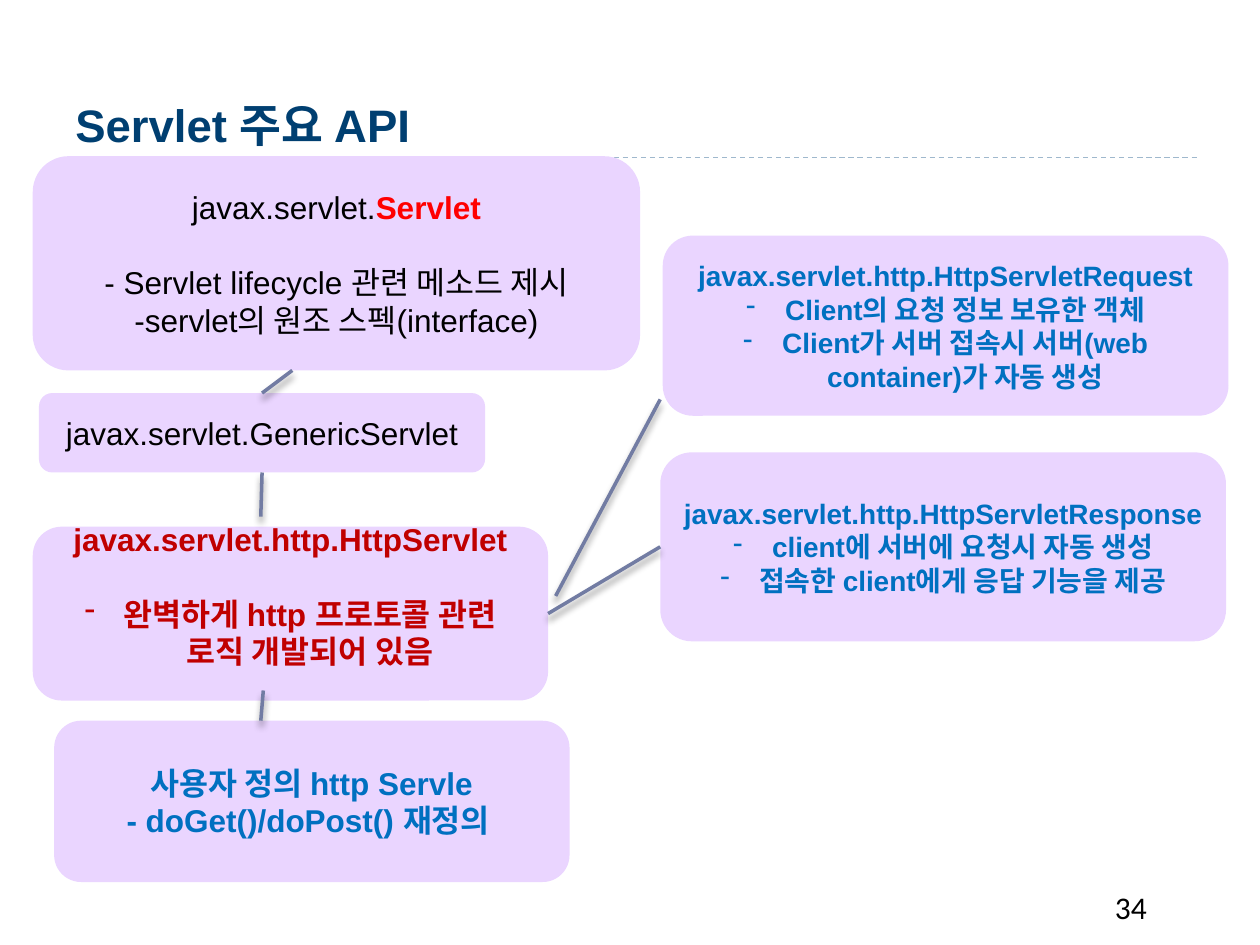
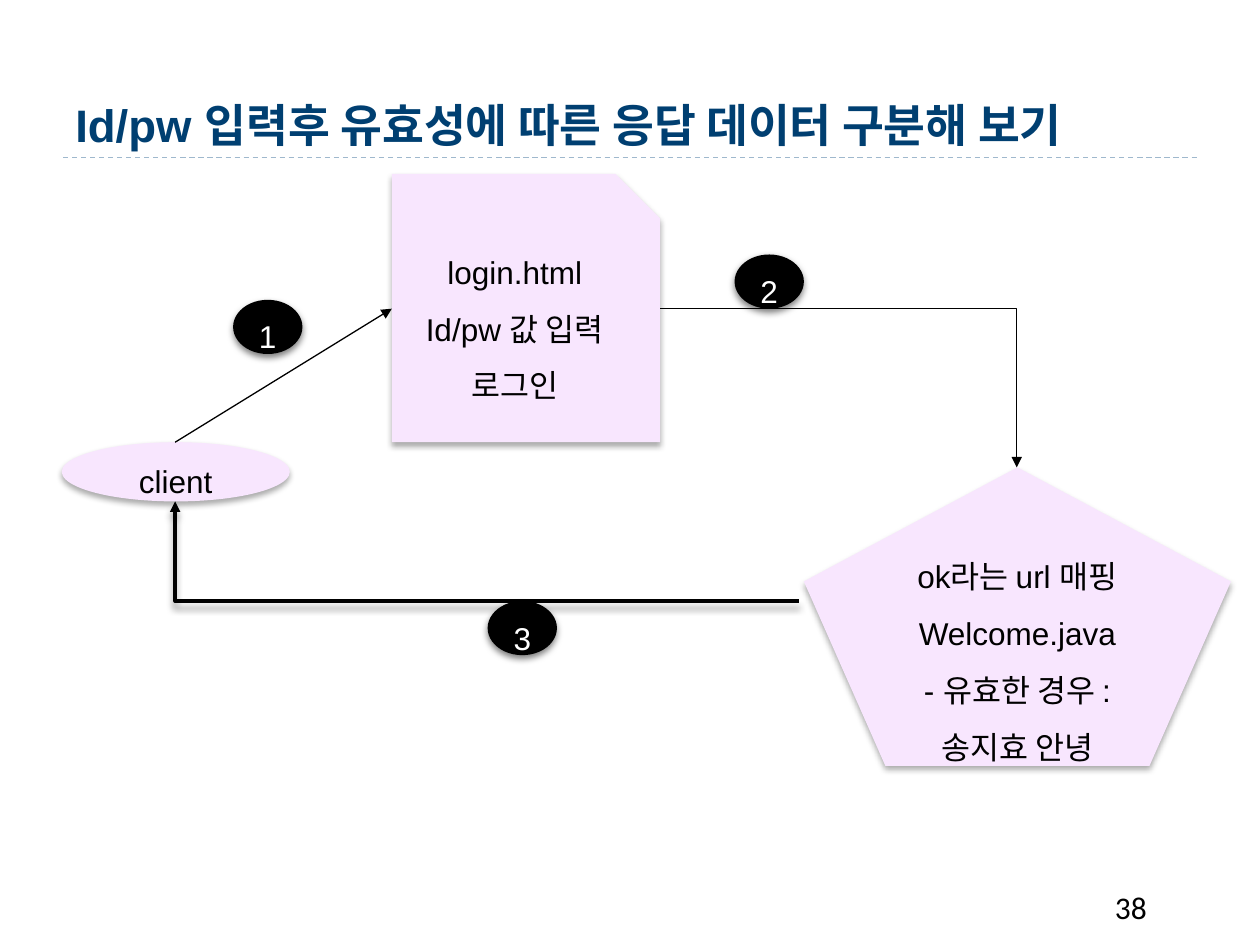
from lxml import etree
from pptx import Presentation
from pptx.dml import color
from pptx.enum import dml, shapes, text
from pptx.oxml import ns
from pptx.util import Emu, Pt

PX = 9144
BLACK, WHITE, RED, BLUE = "000000", "FFFFFF", "C00000", "0070C0"
NAVY, RULE, LINK = "003F71", "9FB8CD", "727CA3"
LILAC, PALE = "EAD5FF", "F8E6FE"
LINE_SHADOW, SHAPE_SHADOW, BADGE_SHADOW = (40, 4, 3.4), (32, 3.5, 2.2), (50, 4, 2)
TOP, LEFT, BOTTOM, RIGHT = range(4)
KIND = shapes.MSO_SHAPE


def px(*lengths):
    """Turn pixel lengths into EMU."""
    return [Emu(length * PX) for length in lengths]


def rgb(value):
    """Return the colour of a hex string."""
    return color.RGBColor.from_string(value)


def place(region, left, top, *size):
    """Offset a position by the corner of its region."""
    return (region[0] + left, region[1] + top, *size)


def cast_shadow(item, shadow):
    """Give an item only the shadow (opacity, blur, distance), if any."""
    properties = item._element.spPr
    effects = properties.find(ns.qn("a:effectLst"))
    if effects is None:
        effects = etree.SubElement(properties, ns.qn("a:effectLst"))
    if shadow:
        opacity, blur, distance = shadow
        outer = etree.SubElement(effects, ns.qn("a:outerShdw"), blurRad=str(Pt(blur)),
                                 dist=str(Pt(distance)), dir="5400000", rotWithShape="0")
        tint = etree.SubElement(outer, ns.qn("a:srgbClr"), val=BLACK)
        etree.SubElement(tint, ns.qn("a:alpha"), val=str(opacity * 1000))


def style(span, size, ink, bold=False, font="Arial"):
    """Format one run."""
    span.font.name, span.font.size, span.font.bold = font, Pt(size), bold
    span.font.color.rgb = rgb(ink)


def add_bullet(para):
    """Hang a dash in front of a paragraph."""
    properties = para._p.get_or_add_pPr()
    properties.set("marL", str(31 * PX))
    properties.set("indent", str(-31 * PX))
    etree.SubElement(properties, ns.qn("a:buChar"), char="-")


def add_label(page, box, words, size, ink, bold=False, font="Arial",
              anchor=text.MSO_ANCHOR.TOP):
    """Add a left-aligned text box."""
    frame = page.shapes.add_textbox(*px(*box)).text_frame
    frame.word_wrap = True
    frame.vertical_anchor = anchor
    frame.text = words
    style(frame.paragraphs[0].runs[0], size, ink, bold, font)


def add_card(page, box, lines, kind=KIND.ROUNDED_RECTANGLE, fill=LILAC, size=18,
             ink=BLACK, bold=False, bullets=(), spacing=None, shadow=None):
    """Add a filled shape with centred lines, dashing the numbered ones."""
    card = page.shapes.add_shape(kind, *px(*box))
    card.fill.solid()
    card.fill.fore_color.rgb = rgb(fill)
    card.line.fill.background()
    card.shadow.inherit = False
    cast_shadow(card, shadow)
    frame = card.text_frame
    frame.word_wrap = True
    frame.vertical_anchor = text.MSO_ANCHOR.MIDDLE
    frame.text = "\n".join(lines)
    for index, para in enumerate(frame.paragraphs):
        para.alignment = text.PP_ALIGN.CENTER
        if spacing:
            para.line_spacing = spacing
        if index in bullets:
            add_bullet(para)
        style(para.runs[0], size, ink, bold)
    return card


def add_line(page, start, end, ink=LINK, width=2.0, shadow=None, arrow=False, bent=False):
    """Add a straight or once-bent connector."""
    kind = shapes.MSO_CONNECTOR.ELBOW if bent else shapes.MSO_CONNECTOR.STRAIGHT
    line = page.shapes.add_connector(kind, *px(*start, *end))
    if bent:
        line._element.spPr.find(ns.qn("a:prstGeom")).set("prst", "bentConnector2")
    line.line.color.rgb = rgb(ink)
    line.line.width = Pt(width)
    if arrow:
        outline = line._element.spPr.find(ns.qn("a:ln"))
        etree.SubElement(outline, ns.qn("a:tailEnd"), type="triangle")
    cast_shadow(line, shadow)
    return line


def add_page(deck, title, number):
    """Add a blank page with its title, dashed rule and number."""
    page = deck.slides.add_slide(deck.slide_layouts[6])
    rule = add_line(page, (50, 125), (950, 125), RULE, 0.75)
    rule.line.dash_style = dml.MSO_LINE.DASH
    add_label(page, (50, 17, 900, 108), title, 26, NAVY, True,
              anchor=text.MSO_ANCHOR.BOTTOM)
    add_label(page, (875, 700, 83, 40), number, 18, BLACK, font="Calibri")
    return page


def draw_hierarchy(page, region):
    """Stack the servlet types and return the HTTP servlet card."""
    base = add_card(page, place(region, 0, 0, 482, 170), [
        "javax.servlet.", "- Servlet lifecycle 관련 메소드 제시",
        "-servlet의 원조 스펙(interface)"])
    heading, detail = base.text_frame.paragraphs[:2]
    span = heading.add_run()
    span.text = "Servlet"
    style(span, 18, "FF0000", True)
    detail.space_before = Pt(21)

    generic = add_card(page, place(region, 5, 188, 354, 63),
                       ["javax.servlet.GenericServlet"])
    http = add_card(page, place(region, 0, 294, 409, 138), [
        "javax.servlet.http.HttpServlet", "완벽하게 http 프로토콜 관련 로직 개발되어 있음"],
        ink=RED, bold=True, bullets=(1,))
    http.text_frame.paragraphs[1].space_before = Pt(21)
    http.text_frame.margin_bottom = Pt(24.6)
    add_card(page, place(region, 17, 448, 409, 128), [
        "사용자 정의 http Servle", "- doGet()/doPost() 재정의 "], ink=BLUE, bold=True)

    to_base = add_line(page, place(region, 183, 188), place(region, 206, 170),
                       shadow=LINE_SHADOW)
    to_base.begin_connect(generic, TOP)
    to_generic = add_line(page, place(region, 181, 286), place(region, 183, 251),
                          shadow=LINE_SHADOW)
    to_generic.end_connect(generic, BOTTOM)
    add_line(page, place(region, 181, 448), place(region, 183, 424), shadow=LINE_SHADOW)
    return http


def draw_messages(page, region, http):
    """Add the request and response cards and link them to the HTTP servlet."""
    look = {"size": 16, "ink": BLUE, "bold": True, "bullets": (1, 2)}
    add_card(page, place(region, 2, 0, 449, 143), [
        "javax.servlet.http.HttpServletRequest", "Client의 요청 정보 보유한 객체",
        "Client가 서버 접속시 서버(web container)가 자동 생성"], **look)
    response = add_card(page, place(region, 0, 172, 449, 150), [
        "javax.servlet.http.HttpServletResponse", "client에 서버에 요청시 자동 생성",
        "접속한 client에게 응답 기능을 제공"], **look)
    to_response = add_line(page, place(region, -89, 299), place(region, 0, 247),
                           shadow=LINE_SHADOW)
    to_response.begin_connect(http, RIGHT)
    to_response.end_connect(response, LEFT)
    add_line(page, place(region, -83, 286), place(region, 0, 130), shadow=LINE_SHADOW)


def draw_login_flow(page, region):
    """Draw the client, login form and servlet with numbered steps."""
    look = {"fill": PALE, "spacing": 1.5, "shadow": SHAPE_SHADOW}
    add_card(page, place(region, 0, 213, 181, 47), ["client"], KIND.OVAL, **look)
    add_card(page, place(region, 262, 0, 213, 213),
             ["login.html", "Id/pw 값 입력", "로그인"], KIND.SNIP_1_RECTANGLE, **look)
    add_card(page, place(region, 589, 233, 339, 237),
             ["ok라는 url 매핑", "Welcome.java", "- 유효한 경우 : 송지효 안녕"],
             KIND.REGULAR_PENTAGON, **look)

    add_line(page, place(region, 585, 339), place(region, 90, 260), BLACK, 2,
             LINE_SHADOW, arrow=True, bent=True)
    add_line(page, place(region, 90, 213), place(region, 262, 107), BLACK, 0.75,
             arrow=True)
    add_line(page, place(region, 475, 107), place(region, 758, 233), BLACK, 0.75,
             arrow=True, bent=True)

    for step, corner in enumerate([(136, 100), (534, 64), (338, 339)], 1):
        add_card(page, place(region, *corner, 55, 43), [str(step)], KIND.OVAL,
                 fill=BLACK, ink=WHITE, spacing=1.5, shadow=BADGE_SHADOW)


def main():
    """Build and save the deck."""
    deck = Presentation()
    deck.slide_width, deck.slide_height = px(1000, 750)
    page = add_page(deck, "Servlet 주요 API", "34")
    http = draw_hierarchy(page, (26, 124))
    draw_messages(page, (524, 187), http)
    page = add_page(deck, "Id/pw 입력후 유효성에 따른 응답 데이터 구분해 보기", "38")
    draw_login_flow(page, (49, 138))
    deck.save("out.pptx")


if __name__ == "__main__":
    main()
